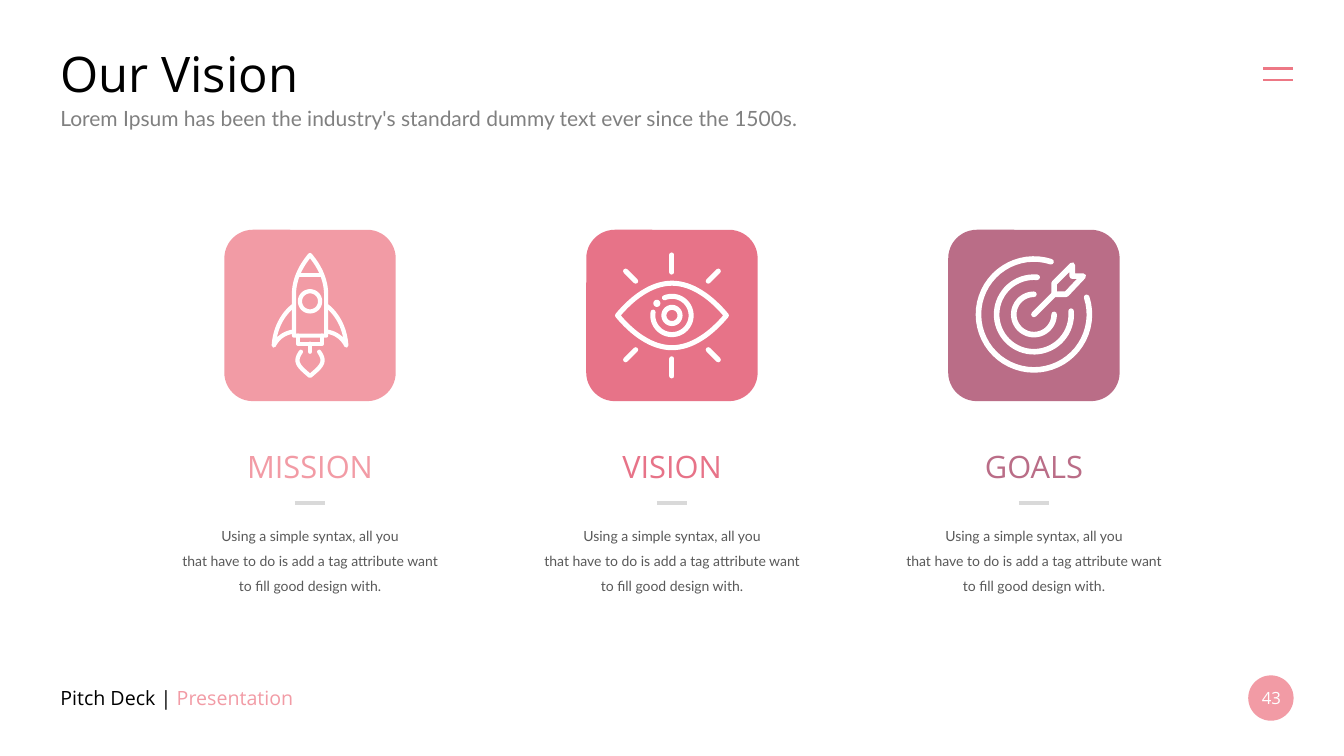
from dataclasses import dataclass
from itertools import product
from math import cos, radians, sin
from lxml.etree import SubElement
from pptx import Presentation
from pptx.dml.color import RGBColor as Rgb
from pptx.enum.shapes import MSO_CONNECTOR as Link, MSO_SHAPE as Kind
from pptx.enum.text import MSO_ANCHOR as Anchor, MSO_AUTO_SIZE as Fit, PP_ALIGN as Align
from pptx.oxml.ns import qn
from pptx.util import Inches, Pt


@dataclass(frozen=True)
class Theme:
    head: str = "Open Sans"
    body: str = "Lato"
    black: str = "000000"
    white: str = "FFFFFF"
    pink: str = "F29BA5"
    rose: str = "E77388"
    plum: str = "BA6D87"
    menu: str = "ED7885"
    rule: str = "D9D9D9"
    gray: str = "808080"
    dark: str = "595959"
    title: int = 35
    label: int = 22
    lead: int = 15
    foot: int = 14
    page: int = 12
    copy: int = 10


T = Theme()


def place(shape, box):
    shape.left, shape.top, shape.width, shape.height = map(Inches, box)


def write(shape, paras, font=T.head, size=T.copy, align=Align.LEFT,
          anchor=Anchor.MIDDLE, lead=None):
    frame = shape.text_frame
    frame.word_wrap = True
    frame.auto_size = Fit.NONE
    frame.vertical_anchor = anchor
    for i, runs in enumerate(paras):
        para = frame.add_paragraph() if i else frame.paragraphs[0]
        para.alignment = align
        if lead:
            para.line_spacing = Pt(lead)
        for text, color in runs:
            run = para.add_run()
            run.text = text
            run.font.name, run.font.size = font, Pt(size)
            run.font.color.rgb = Rgb.from_string(color)


def label(slide, box, paras, **form):
    write(slide.shapes.add_textbox(*map(Inches, box)), paras, **form)


def solid(slide, kind, box, color):
    shape = slide.shapes.add_shape(kind, *map(Inches, box))
    shape.shadow.inherit = False
    shape.fill.solid()
    shape.fill.fore_color.rgb = Rgb.from_string(color)
    shape.line.fill.background()


def line(slide, start, end, color, width):
    link = slide.shapes.add_connector(Link.STRAIGHT, *map(Inches, (*start, *end)))
    link.line.color.rgb = Rgb.from_string(color)
    link.line.width = Pt(width)
    SubElement(link.element.spPr, qn("a:effectLst"))


def arc(mid, r, start, end):
    steps = 48
    turns = [radians(start + (end - start) * i / steps) for i in range(steps + 1)]
    return [(mid[0] + r * cos(a), mid[1] + r * sin(a)) for a in turns]


def ring(mid, r):
    return arc(mid, r, 0, 360)


def curve(*knots, steps=16):
    points = []
    for i in range(steps + 1):
        t = i / steps
        parts = ((1 - t) ** 3, 3 * t * (1 - t) ** 2, 3 * t * t * (1 - t), t ** 3)
        points.append(tuple(sum(w * k[n] for w, k in zip(parts, knots)) for n in (0, 1)))
    return points


def flip(points):
    return [(-x, y) for x, y in reversed(points)]


def rocket():
    side = [(-0.16, 0.2)] + curve((-0.16, -0.2), (-0.16, -0.35), (-0.1, -0.48), (0, -0.6))
    fin = curve((-0.16, -0.1), (-0.28, -0.01), (-0.35, 0.14), (-0.36, 0.3))
    fin += curve((-0.36, 0.3), (-0.32, 0.22), (-0.25, 0.17), (-0.16, 0.16))[1:]
    flame = curve((-0.09, 0.36), (-0.16, 0.46), (-0.12, 0.5), (0, 0.6))
    shell = side + flip(side)[1:]
    return 3, [
        shell + shell[:1],
        [(-0.11, -0.4), (0.11, -0.4)],
        ring((0, -0.14), 0.1),
        fin,
        flip(fin),
        [(-0.12, 0.2), (-0.12, 0.28), (0.12, 0.28), (0.12, 0.2)],
        [(0, 0.28), (0, 0.36)],
        flame + flip(flame)[1:],
    ]


def eye():
    rays = [[(0, s * 0.43), (0, s * 0.6)] for s in (-1, 1)]
    rays += [[(h * 0.36, v * 0.34), (h * 0.46, v * 0.44)]
             for h, v in product((-1, 1), repeat=2)]
    lid = curve((-0.54, 0), (-0.39, -0.18), (-0.2, -0.32), (0, -0.32))
    top = lid + flip(lid)[1:]
    rim = top + [(-x, -y) for x, y in top[1:]]
    return 3.6, rays + [rim, arc((0, 0), 0.19, -113, 190),
                        ring((0, 0), 0.08), ring((-0.15, -0.12), 0.01)]


def target():
    hub = (0, -0.01)
    turns = ((0.55, -18, 288), (0.37, -5, 275), (0.2, 0, 270))
    head = [(0.2, -0.21), (0.2, -0.32), (0.38, -0.5), (0.38, -0.39),
            (0.49, -0.39), (0.32, -0.21), (0.2, -0.21)]
    return 4, [arc(hub, *turn) for turn in turns] + [[hub, (0.2, -0.21)], head]


def draw(slide, mid, width, trails):
    trails = [[(Inches(mid[0] + x), Inches(mid[1] + y)) for x, y in trail]
              for trail in trails]
    form = slide.shapes.build_freeform(*trails[0][0])
    for i, (first, *rest) in enumerate(trails):
        if i:
            form.move_to(*first)
        form.add_line_segments(rest, close=rest[-1] == first)
    icon = form.convert_to_shape()
    icon.shadow.inherit = False
    icon.fill.background()
    icon.line.color.rgb = Rgb.from_string(T.white)
    icon.line.width = Pt(width)
    icon.element.spPr.find(qn("a:ln")).set("cap", "rnd")


def column(slide, box, name, color, icon):
    x, y, w, _ = box
    mid, tile = x + w / 2, 1.7
    solid(slide, Kind.ROUNDED_RECTANGLE, (mid - tile / 2, y, tile, tile), color)
    draw(slide, (mid, y + tile / 2), *icon())
    label(slide, (x, y + 2.11, w, 0.47), [[(name, color)]],
          size=T.label, align=Align.CENTER)
    line(slide, (mid - 0.15, y + 2.71), (mid + 0.15, y + 2.71), T.rule, 3)
    lines = ("Using a simple syntax, all you",
             "that have to do is add a tag attribute want to fill good design with.")
    label(slide, (x, y + 2.83, w, 0.83), [[(text, T.dark)] for text in lines],
          font=T.body, align=Align.CENTER, lead=18)


def header(slide, box):
    x, y, w, _ = box
    title = slide.shapes.title
    place(title, (x, y, w, 0.66))
    write(title, [[("Our Vision", T.black)]], size=T.title)
    text = "Lorem Ipsum has been the industry's standard dummy text ever since the 1500s."
    label(slide, (x, y + 0.61, w, 0.35), [[(text, T.gray)]],
          font=T.body, size=T.lead, anchor=Anchor.TOP)
    for drop in (0.29, 0.4):
        line(slide, (x + w - 0.3, y + drop), (x + w - 0.01, y + drop), T.menu, 1.5)


def footer(slide, box):
    x, y, w, h = box
    label(slide, (x, y + 0.02, 3.29, 0.4),
          [[("Pitch Deck | ", T.black), ("Presentation", T.pink)]], size=T.foot)
    solid(slide, Kind.OVAL, (x + w - h, y, h, h), T.pink)
    label(slide, (x + w - 0.49, y + 0.11, 0.54, 0.22), [[("43", T.white)]],
          size=T.page, align=Align.CENTER)


def main():
    deck = Presentation()
    deck.slide_width, deck.slide_height = Inches(13.33), Inches(7.5)
    slide = deck.slides.add_slide(deck.slide_layouts[5])
    header(slide, (0.5, 0.39, 12.33, 0.95))
    parts = (("MISSION", T.pink, rocket), ("VISION", T.rose, eye), ("GOALS", T.plum, target))
    for i, part in enumerate(parts):
        column(slide, (1.68 + i * 3.59, 2.28, 2.79, 3.66), *part)
    footer(slide, (0.5, 6.7, 12.33, 0.45))
    deck.save("out.pptx")


if __name__ == "__main__":
    main()
